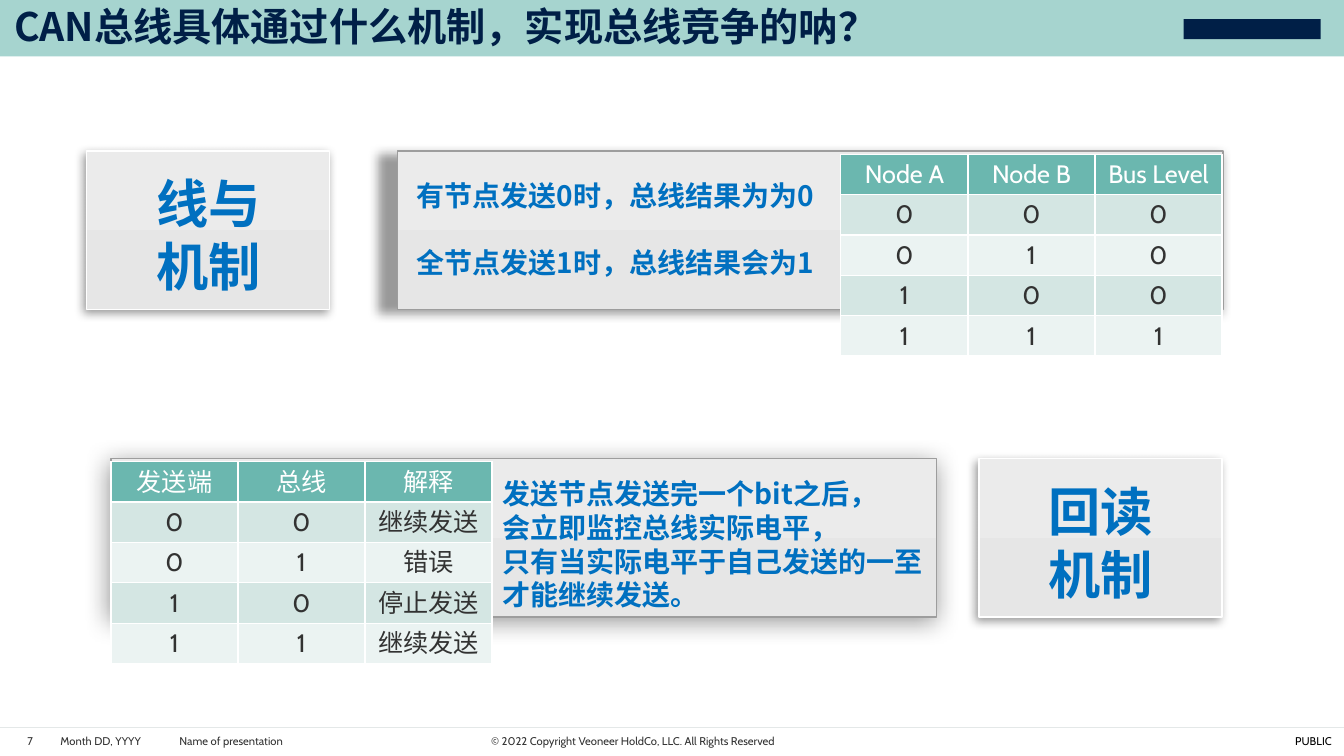
import pptx
import pptx.util
import pptx.dml.color
import pptx.enum.shapes
import pptx.enum.text
import pptx.oxml
import pptx.oxml.ns
from dataclasses import dataclass

Inches, Pt = pptx.util.Inches, pptx.util.Pt
ALIGN = pptx.enum.text.PP_ALIGN
ANCHOR = pptx.enum.text.MSO_ANCHOR
RECT = pptx.enum.shapes.MSO_SHAPE.RECTANGLE


@dataclass(frozen=True)
class Theme:
    latin: str = "Cabin"
    han: str = "Noto Sans CJK SC"
    navy: str = "001F47"
    mint: str = "A6D4CF"
    teal: str = "6BB7AF"
    bands: tuple = ("D4E6E3", "EBF3F2")
    panel: tuple = ("EBEBEB", "E6E6E6")
    blue: str = "0070C0"
    ink: str = "323232"
    black: str = "000000"
    white: str = "FFFFFF"
    edge: str = "9D9D9D"
    rule: str = "E4E8E8"
    title: float = 28
    label: float = 37.3
    body: float = 20
    cell: float = 18
    small: float = 8


T = Theme()


def rgb(code):
    return pptx.dml.color.RGBColor.from_string(code)


def style(par, face, size, color, bold=False, align=ALIGN.LEFT):
    par.alignment = align
    font = par.font
    font.name, font.size, font.bold = face, Pt(size), bold
    font.color.rgb = rgb(color)
    east = pptx.oxml.parse_xml(
        f'<a:ea {pptx.oxml.ns.nsdecls("a")} typeface="{face}"/>')
    par._p.pPr.find(pptx.oxml.ns.qn("a:defRPr")).append(east)


def write(slide, box, lines, face, size, color, bold=False, align=ALIGN.LEFT,
          anchor=ANCHOR.TOP, pitch=None, gap=0):
    """Text box; pitch is the line spacing, gap the space between paragraphs."""
    frame = slide.shapes.add_textbox(*map(Inches, box)).text_frame
    frame.word_wrap = True
    frame.vertical_anchor = anchor
    frame.margin_left = frame.margin_right = 0
    frame.margin_top = frame.margin_bottom = 0
    for i, line in enumerate(lines):
        par = frame.add_paragraph() if i else frame.paragraphs[0]
        par.text = line
        if pitch:
            par.line_spacing = pitch
        if i and gap:
            par.space_before = Pt(gap)
        style(par, face, size, color, bold, align)


def block(slide, box, color):
    shape = slide.shapes.add_shape(RECT, *map(Inches, box))
    shape.shadow.inherit = False
    shape.fill.solid()
    shape.fill.fore_color.rgb = rgb(color)
    shape.line.fill.background()


def panel(slide, box, edge, blur=7, scale=100):
    """Grey gradient box with a soft shadow to its lower left."""
    shape = slide.shapes.add_shape(RECT, *map(Inches, box))
    shape.fill.gradient()
    shape.fill.gradient_angle = 270
    for stop, color in zip(shape.fill.gradient_stops, T.panel):
        stop.color.rgb = rgb(color)
    shape.line.color.rgb = rgb(edge)
    shape.line.width = Pt(1)
    shape.shadow.inherit = False
    shade = pptx.oxml.parse_xml(
        f'<a:outerShdw {pptx.oxml.ns.nsdecls("a")} blurRad="{Pt(blur)}" '
        f'dist="{Pt(3)}" dir="8100000" sx="{scale * 1000}" algn="tr" '
        f'rotWithShape="0"><a:srgbClr val="{T.black}">'
        '<a:alpha val="40000"/></a:srgbClr></a:outerShdw>')
    shape._element.spPr.find(pptx.oxml.ns.qn("a:effectLst")).append(shade)


def label(slide, box, text):
    left, top, width, height = box
    panel(slide, box, T.white)
    write(slide, (left + 0.57, top + 0.2, 1.28, 1.26), [text], T.han, T.label,
          T.blue, True, ALIGN.CENTER, pitch=Pt(45))


def grid(slide, left, top, rows):
    wide, high = 1.26, 0.4
    table = slide.shapes.add_table(
        len(rows), len(rows[0]), Inches(left), Inches(top),
        Inches(wide * len(rows[0])), Inches(high * len(rows))).table
    for col in table.columns:
        col.width = Inches(wide)
    for r, row in enumerate(rows):
        table.rows[r].height = Inches(high)
        for c, text in enumerate(row):
            cell = table.cell(r, c)
            cell.fill.solid()
            cell.fill.fore_color.rgb = rgb(T.bands[(r - 1) % 2] if r else T.teal)
            par = cell.text_frame.paragraphs[0]
            par.text = text
            style(par, T.latin, T.cell, T.ink if r else T.white,
                  align=ALIGN.CENTER)


def header(slide, box):
    left, top, width, height = box
    block(slide, box, T.mint)
    block(slide, (left + 11.74, top + 0.19, 1.36, 0.2), T.navy)
    write(slide, (left + 0.14, top + 0.08, 11.4, 0.42),
          ["CAN总线具体通过什么机制，实现总线竞争的呐？"], T.han, T.title,
          T.navy, True, anchor=ANCHOR.MIDDLE, pitch=0.9)


def footer(slide, box):
    left, top, width, height = box
    block(slide, box, T.white)
    rule = slide.shapes.add_connector(
        pptx.enum.shapes.MSO_CONNECTOR.STRAIGHT, Inches(left), Inches(top),
        Inches(left + width), Inches(top))
    rule.line.color.rgb = rgb(T.rule)
    rule.line.width = Pt(0.75)
    rule._element.spPr.append(pptx.oxml.parse_xml(
        f'<a:effectLst {pptx.oxml.ns.nsdecls("a")}/>'))
    notes = (
        (0.22, 0.16, "7", ALIGN.CENTER, T.ink),
        (0.6, 0.95, "Month DD, YYYY", ALIGN.LEFT, T.ink),
        (1.78, 2.76, "Name of presentation", ALIGN.LEFT, T.ink),
        (4.79, 2.9, "© 2022 Copyright Veoneer HoldCo, LLC. All Rights Reserved",
         ALIGN.RIGHT, T.ink),
        (12.58, 0.63, "PUBLIC", ALIGN.RIGHT, T.black),
    )
    for x, wide, text, align, color in notes:
        write(slide, (left + x, top + 0.07, wide, 0.13), [text], T.latin,
              T.small, color, align=align, anchor=ANCHOR.BOTTOM)


def wired(slide, box):
    """Wired-AND row: label, rule text, truth table."""
    left, top, width, height = box
    label(slide, (left, top, 2.41, height), "线与机制")
    panel(slide, (left + 3.08, top, 8.19, height), T.edge, scale=102)
    write(slide, (left + 3.27, top + 0.27, 4.21, 1.01),
          ["有节点发送0时，总线结果为为0", "全节点发送1时，总线结果会为1"],
          T.han, T.body, T.blue, True, pitch=Pt(24), gap=24)
    grid(slide, left + 7.48, top + 0.03, (
        ("Node A", "Node B", "Bus Level"),
        ("0", "0", "0"), ("0", "1", "0"), ("1", "0", "0"), ("1", "1", "1")))


def readback(slide, box):
    """Read-back row: table, rule text, label."""
    left, top, width, height = box
    label(slide, (left + 8.61, top, 2.41, height), "回读机制")
    panel(slide, (left, top, 8.19, height), T.edge, blur=18)
    grid(slide, left, top + 0.03, (
        ("发送端", "总线", "解释"), ("0", "0", "继续发送"),
        ("0", "1", "错误"), ("1", "0", "停止发送"), ("1", "1", "继续发送")))
    write(slide, (left + 3.88, top + 0.18, 4.25, 1.35),
          ["发送节点发送完一个bit之后，", "会立即监控总线实际电平，",
           "只有当实际电平于自己发送的一至", "才能继续发送。"],
          T.han, T.body, T.blue, True, pitch=Pt(24))


def main():
    deck = pptx.Presentation()
    deck.slide_width, deck.slide_height = Inches(13.33), Inches(7.5)
    slide = deck.slides.add_slide(deck.slide_layouts[6])
    footer(slide, (0, 7.22, 13.33, 0.28))
    header(slide, (0, 0, 13.33, 0.56))
    wired(slide, (0.86, 1.5, 11.27, 1.57))
    readback(slide, (1.1, 4.55, 11.02, 1.57))
    deck.save("out.pptx")


if __name__ == "__main__":
    main()
